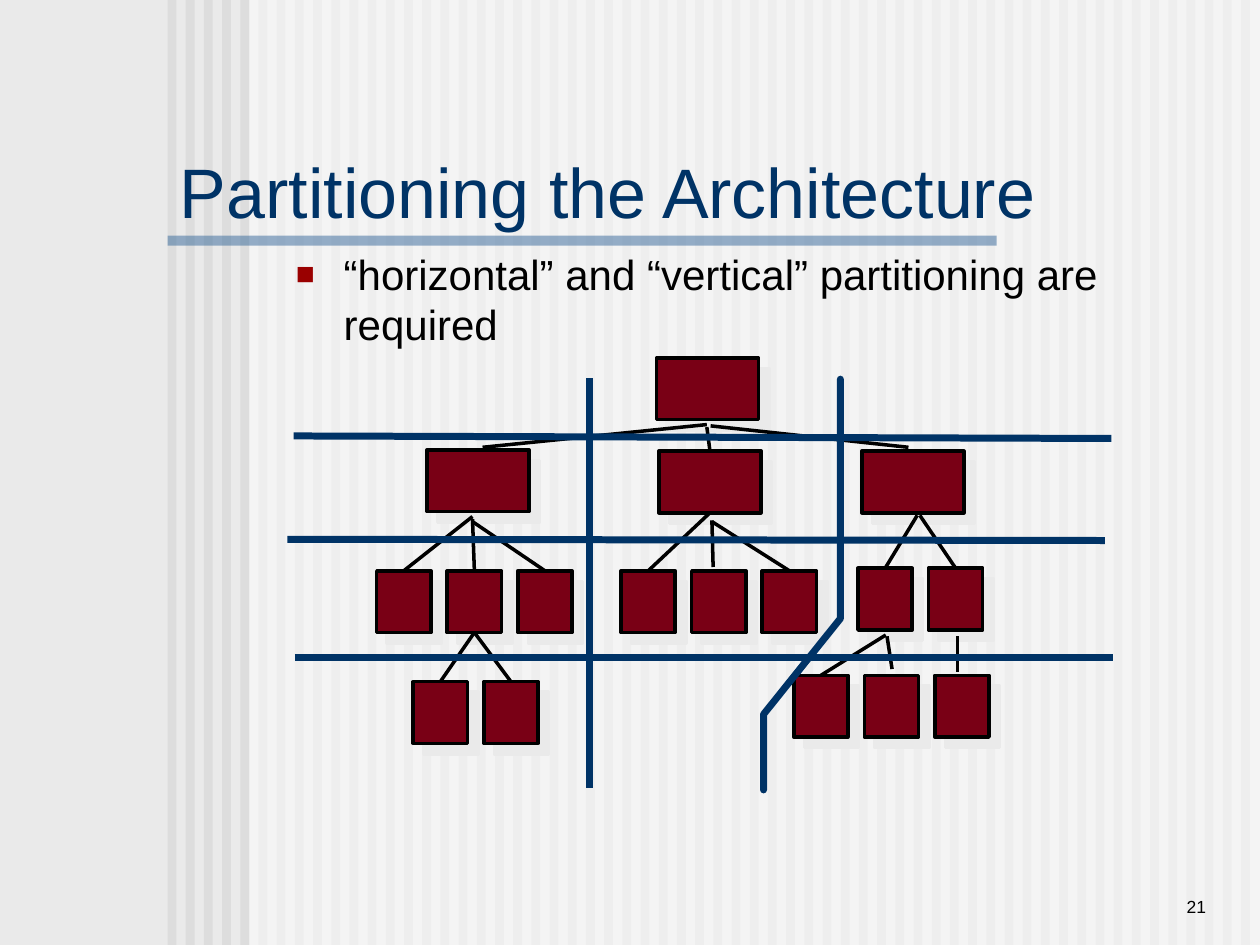
"""Build a slide on partitioning the architecture of a program."""
from dataclasses import dataclass
from math import dist
from typing import Any

from lxml.etree import SubElement
from pptx import Presentation
from pptx.dml.color import RGBColor
from pptx.enum.shapes import MSO_CONNECTOR, MSO_SHAPE
from pptx.enum.text import MSO_ANCHOR, PP_ALIGN
from pptx.oxml.ns import qn
from pptx.util import Inches, Pt


@dataclass(frozen=True)
class Theme:
    font: str = "Arial"
    ground: str = "EAEAEA"
    stripe: str = "DDDDDD"
    veil: str = "FFFFFF"
    rule: str = "336699"
    navy: str = "003366"
    ink: str = "000000"
    maroon: str = "790015"
    bullet: str = "9A0000"
    title: int = 40
    body: int = 24
    number: int = 10
    thin: int = 2
    thick: int = 4


@dataclass(frozen=True)
class Row:
    left: float
    top: float
    count: int = 1
    width: float = 0.43
    height: float = 0.49
    step: float = 0.56


@dataclass(frozen=True)
class Link:
    x1: float
    y1: float
    x2: float
    y2: float


@dataclass(frozen=True)
class Port:
    shape: Any
    site: int
    x: float
    y: float


THEME = Theme()
REACH = 0.04
WIDE = 0.81
ROWS = [
    Row(5.21, 2.84, width=WIDE),
    Row(3.39, 3.57, width=WIDE),
    Row(5.23, 3.58, width=WIDE),
    Row(6.84, 3.58, width=WIDE),
    Row(2.99, 4.53, 3),
    Row(4.93, 4.53, 3),
    Row(6.81, 4.51, 2),
    Row(6.3, 5.36, 3),
    Row(3.28, 5.41, 2),
]
LINKS = [
    Link(5.61, 3.37, 3.83, 3.55),
    Link(5.61, 3.39, 5.61, 3.56),
    Link(5.64, 3.38, 7.21, 3.55),
    Link(3.75, 4.1, 3.2, 4.51),
    Link(3.75, 4.12, 3.75, 4.51),
    Link(3.75, 4.14, 4.31, 4.5),
    Link(5.63, 4.1, 5.13, 4.5),
    Link(5.65, 4.13, 5.66, 4.5),
    Link(5.65, 4.14, 6.25, 4.5),
    Link(7.28, 4.09, 7.01, 4.48),
    Link(7.3, 4.09, 7.59, 4.5),
    Link(7.03, 5.04, 6.54, 5.33),
    Link(7.04, 5.05, 7.08, 5.31),
    Link(7.6, 5.05, 7.6, 5.33),
    Link(3.75, 5.05, 3.51, 5.4),
    Link(3.78, 5.05, 4.06, 5.41),
]
CUTS = [
    Link(2.28, 4.28, 8.77, 4.29),
    Link(2.34, 5.22, 8.83, 5.22),
    Link(4.68, 3, 4.68, 6.25),
    Link(2.33, 3.46, 8.82, 3.48),
]
BEND = [(6.67, 3.01), (6.67, 4.91), (6.06, 5.67), (6.06, 6.27)]


def color(code: str) -> RGBColor:
    return RGBColor.from_string(code)


def stroke(line: Any, code: str, width: float) -> None:
    line.color.rgb = color(code)
    line.width = Pt(width)


def add_rect(slide: Any, left: float, top: float, width: float, height: float,
             fill: str, alpha: int = 100) -> Any:
    shape = slide.shapes.add_shape(
        MSO_SHAPE.RECTANGLE, Inches(left), Inches(top), Inches(width), Inches(height))
    shape.shadow.inherit = False
    shape.fill.solid()
    shape.fill.fore_color.rgb = color(fill)
    shape.line.fill.background()
    if alpha < 100:
        tone = shape._element.spPr.find(f"{qn('a:solidFill')}/{qn('a:srgbClr')}")
        SubElement(tone, qn("a:alpha"), val=str(alpha * 1000))
    return shape


def add_text(slide: Any, text: str, left: float, top: float, width: float,
             height: float, *, size: int, fill: str, anchor: Any = MSO_ANCHOR.TOP,
             align: Any = PP_ALIGN.LEFT, before: int = 0, bullet: str = "") -> None:
    box = slide.shapes.add_textbox(Inches(left), Inches(top), Inches(width), Inches(height))
    frame = box.text_frame
    frame.word_wrap = True
    frame.vertical_anchor = anchor
    para = frame.paragraphs[0]
    para.alignment = align
    para.space_before = Pt(before)
    run = para.add_run()
    run.text = text
    run.font.name = THEME.font
    run.font.size = Pt(size)
    run.font.color.rgb = color(fill)
    if bullet:
        props = para._p.get_or_add_pPr()
        props.set("marL", str(Inches(0.38)))
        props.set("indent", str(Inches(-0.38)))
        tone = SubElement(props, qn("a:buClr"))
        SubElement(tone, qn("a:srgbClr"), val=THEME.bullet)
        SubElement(props, qn("a:buSzPct"), val="75000")
        SubElement(props, qn("a:buFont"), typeface=THEME.font)
        SubElement(props, qn("a:buChar"), char=bullet)


def add_row(slide: Any, row: Row) -> list[Port]:
    ports = []
    for i in range(row.count):
        left = row.left + i * row.step
        box = add_rect(slide, left, row.top, row.width, row.height, THEME.maroon)
        stroke(box.line, THEME.ink, THEME.thin)
        shade = SubElement(box._element.spPr.find(qn("a:effectLst")), qn("a:outerShdw"),
                           dist=str(Pt(8.5)), dir="2700000", algn="ctr", rotWithShape="0")
        SubElement(shade, qn("a:srgbClr"), val=THEME.ground)
        middle = left + row.width / 2
        ports += [Port(box, 0, middle, row.top),
                  Port(box, 2, middle, row.top + row.height)]
    return ports


def add_link(slide: Any, link: Link, code: str, width: float, ports: list[Port]) -> None:
    line = slide.shapes.add_connector(
        MSO_CONNECTOR.STRAIGHT, Inches(link.x1), Inches(link.y1),
        Inches(link.x2), Inches(link.y2))
    stroke(line.line, code, width)
    SubElement(line._element.spPr, qn("a:effectLst"))
    for port in ports:
        if dist((port.x, port.y), (link.x1, link.y1)) <= REACH:
            line.begin_connect(port.shape, port.site)
        if dist((port.x, port.y), (link.x2, link.y2)) <= REACH:
            line.end_connect(port.shape, port.site)


def add_bend(slide: Any, points: list[tuple[float, float]]) -> None:
    first, *rest = [(Inches(x), Inches(y)) for x, y in points]
    maker = slide.shapes.build_freeform(*first)
    maker.add_line_segments(rest, close=False)
    shape = maker.convert_to_shape()
    shape.shadow.inherit = False
    shape.fill.background()
    stroke(shape.line, THEME.navy, THEME.thick)
    shape.line._get_or_add_ln().set("cap", "rnd")


def main() -> None:
    deck = Presentation()
    deck.slide_width, deck.slide_height = Inches(10), Inches(7.5)
    slide = deck.slides.add_slide(deck.slide_layouts[6])
    slide.background.fill.solid()
    slide.background.fill.fore_color.rgb = color(THEME.ground)
    for i in range(60):
        add_rect(slide, 1.33 + i * 8.52 / 59, 0, 0.07, 7.5, THEME.stripe)
    add_rect(slide, 1.98, 0, 8.02, 7.5, THEME.veil, 50)
    add_rect(slide, 1.33, 1.87, 6.58, 0.08, THEME.rule, 50)
    add_text(slide, "21", 8.25, 6.83, 1.42, 0.5, size=THEME.number, fill=THEME.ink,
             anchor=MSO_ANCHOR.BOTTOM, align=PP_ALIGN.RIGHT)
    add_text(slide, "Partitioning the Architecture", 1.33, 1.33, 7.42, 0.36,
             size=THEME.title, fill=THEME.navy, anchor=MSO_ANCHOR.MIDDLE)
    add_text(slide, "“horizontal” and “vertical” partitioning are required",
             2.25, 1.92, 6.67, 4.88, size=THEME.body, fill=THEME.ink, before=6, bullet="■")
    ports = [port for row in ROWS for port in add_row(slide, row)]
    for link in LINKS:
        add_link(slide, link, THEME.ink, THEME.thin, ports)
    for cut in CUTS:
        add_link(slide, cut, THEME.navy, THEME.thick, [])
    add_bend(slide, BEND)
    deck.save("out.pptx")


if __name__ == "__main__":
    main()
